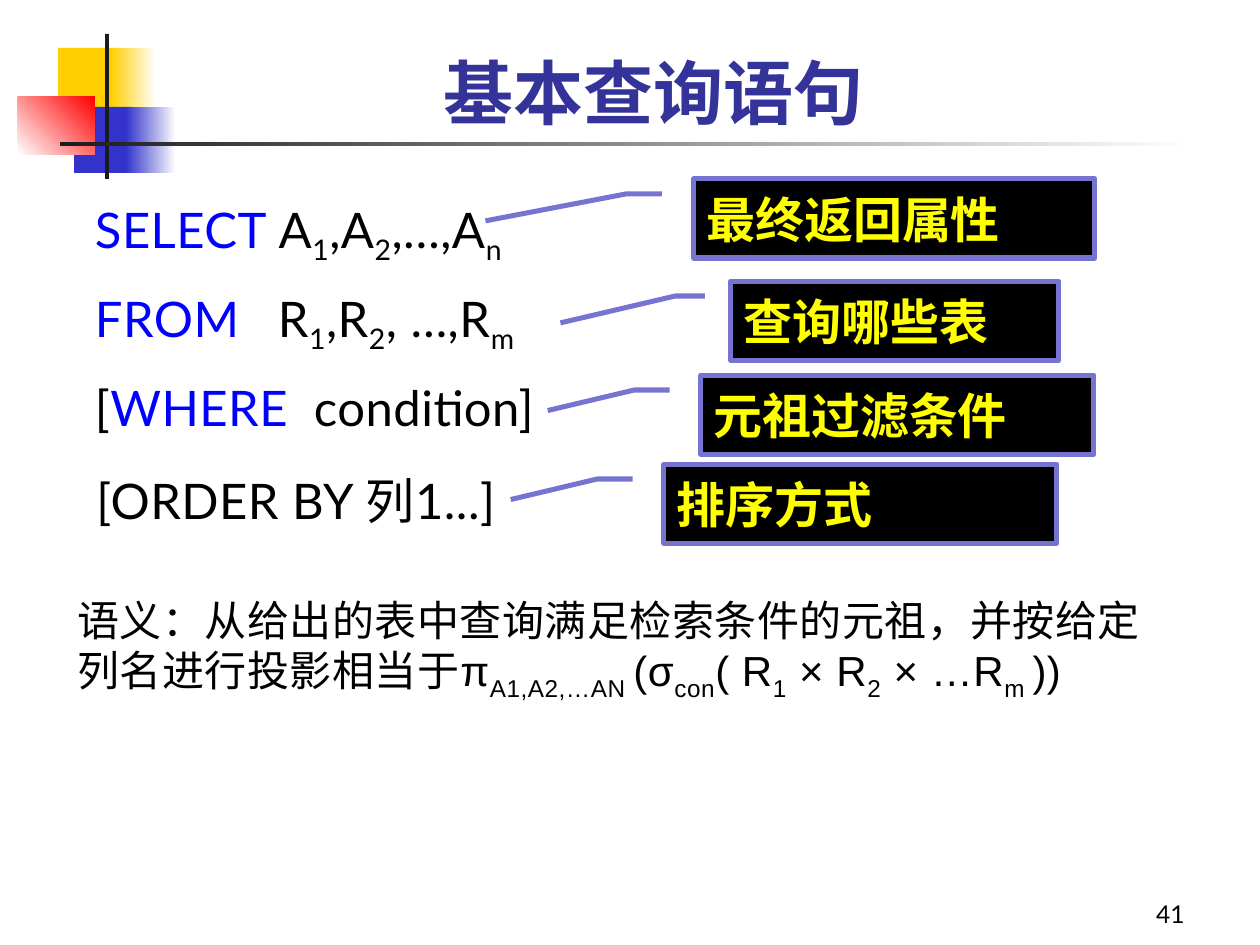
"""Build the slide on the basic SQL query statement."""
from lxml import etree
from pptx import Presentation
from pptx.dml.color import RGBColor
from pptx.enum.shapes import MSO_SHAPE
from pptx.enum.text import MSO_ANCHOR, PP_ALIGN
from pptx.oxml.ns import qn
from pptx.util import Pt

RECTANGLE, CALLOUT = MSO_SHAPE.RECTANGLE, MSO_SHAPE.LINE_CALLOUT_2
TOP, MIDDLE, BOTTOM = MSO_ANCHOR.TOP, MSO_ANCHOR.MIDDLE, MSO_ANCHOR.BOTTOM
LEFT, CENTER, RIGHT = PP_ALIGN.LEFT, PP_ALIGN.CENTER, PP_ALIGN.RIGHT
EMU_PER_PX = 914400 / 126
SLIDE_SIZE = (1260, 945)
CJK = "Noto Sans CJK SC"
BLACK, WHITE, GOLD, BLUE, RED, DARK = "000000", "FFFFFF", "FFCF01", "3333CC", "FF0000", "1C1C1C"
KEYWORD = "0000FF"
SUB = -25

DECORATION = [
    ((58, 48, 60, 66), [GOLD], 0),
    ((111, 48, 45, 66), [GOLD, WHITE], 0),
    ((74, 107, 58, 66), [BLUE], 0),
    ((126, 107, 50, 66), [BLUE, WHITE], 0),
    ((18, 97, 77, 58), [WHITE, RED], 45),
    ((105, 34, 4, 145), [DARK], 0),
    ((60, 142, 1134, 4), [DARK, WHITE], 0),
]

TITLE = ("基本查询语句", (164, 23, 979, 117))

HIGH_LEADER, LOW_LEADER = (0.53, -0.52), (0.45, -0.39)
CALLOUTS = [
    ("最终返回属性", (694, 179, 401, 79), HIGH_LEADER),
    ("查询哪些表", (731, 281, 328, 79), HIGH_LEADER),
    ("元祖过滤条件", (701, 375, 393, 79), LOW_LEADER),
    ("排序方式", (664, 464, 393, 79), LOW_LEADER),
]

CLAUSES = [
    [("SELECT", KEYWORD), " A", ("1", SUB), ",A", ("2", SUB), ",…,A", ("n", SUB)],
    [("FROM", KEYWORD), "\tR", ("1", SUB), ",R", ("2", SUB), ", …,R", ("m", SUB)],
    ["[", ("WHERE", KEYWORD), "\tcondition]"],
]
CLAUSE_TABS = [None, 183, 219]
ORDER_BY = ["[ORDER BY ", "列1...]"]
SEMANTICS = [
    "语义：从给出的表中查询满足检索条件的元祖，并按给定列名进行投影相当于π",
    ("A1,A2,…AN ", SUB), "(σ", ("con", SUB), "( R", ("1", SUB), " × R", ("2", SUB),
    " × …R", ("m ", SUB), "))",
]


def px(value):
    return round(value * EMU_PER_PX)


def color(value):
    return RGBColor.from_string(value)


def add_box(slide, kind, place):
    shape = slide.shapes.add_shape(kind, *map(px, place))
    shape.shadow.inherit = False
    return shape


def add_runs(paragraph, parts, ink=BLACK, name="Lato", size=28, bold=False, spacing=0):
    for part in parts:
        text, style = part if isinstance(part, tuple) else (part, None)
        run = paragraph.add_run()
        run.text = text
        run.font.color.rgb = color(style if isinstance(style, str) else ink)
        for key, value in {"name": name, "size": Pt(size), "bold": bold}.items():
            setattr(run.font, key, value)
        properties = run.font._element
        etree.SubElement(properties, qn("a:ea"), typeface=CJK)
        if spacing:
            properties.set("spc", str(spacing))
        if style == SUB:
            properties.set("baseline", str(SUB * 1000))


def set_tab(paragraph, position):
    tabs = etree.SubElement(paragraph._p.get_or_add_pPr(), qn("a:tabLst"))
    etree.SubElement(tabs, qn("a:tab"), pos=str(px(position)), algn="l")


def fill_text(shape, paragraphs, anchor=TOP, align=LEFT, tabs=(), **style):
    frame = shape.text_frame
    frame.word_wrap = True
    frame.vertical_anchor = anchor
    for index, parts in enumerate(paragraphs):
        paragraph = frame.add_paragraph() if index else frame.paragraphs[0]
        if tabs and tabs[index]:
            set_tab(paragraph, tabs[index])
        paragraph.alignment = align
        if len(paragraphs) > 1:
            paragraph.space_after = Pt(6)
        if index:
            paragraph.space_before = Pt(6.7)
        add_runs(paragraph, parts, **style)


def add_text(slide, place, paragraphs, **style):
    shape = slide.shapes.add_textbox(*map(px, place))
    fill_text(shape, paragraphs, **style)
    return shape


def add_decoration(slide):
    for place, colors, angle in DECORATION:
        shape = add_box(slide, RECTANGLE, place)
        shape.line.fill.background()
        if len(colors) == 1:
            shape.fill.solid()
            shape.fill.fore_color.rgb = color(colors[0])
            continue
        shape.fill.gradient()
        shape.fill.gradient_angle = angle
        for stop, value, position in zip(shape.fill.gradient_stops, colors, (0, 1)):
            stop.color.rgb = color(value)
            stop.position = position


def add_callout(slide, text, place, leader_end):
    shape = add_box(slide, CALLOUT, place)
    for index, value in enumerate((0.19, -0.08, 0.19, -0.17, *leader_end)):
        shape.adjustments[index] = value
    shape.fill.solid()
    shape.fill.fore_color.rgb = color(BLACK)
    shape.line.color.rgb = color("7575D1")
    shape.line.width = Pt(2.85)
    fill_text(shape, [[text]], anchor=MIDDLE, ink="FFFF00", name=CJK, bold=True)


def main():
    presentation = Presentation()
    presentation.slide_width, presentation.slide_height = map(px, SLIDE_SIZE)
    slide = presentation.slides.add_slide(presentation.slide_layouts[5])
    add_decoration(slide)

    text, place = TITLE
    title = slide.shapes.title
    for key, value in zip(("left", "top", "width", "height"), place):
        setattr(title, key, px(value))
    fill_text(title, [[text]], anchor=BOTTOM, align=CENTER,
              ink="333399", name=CJK, size=40, bold=True)

    for callout in CALLOUTS:
        add_callout(slide, *callout)
    add_text(slide, (65, 588, 1128, 115), [SEMANTICS], name="Arial", size=24, spacing=30)
    add_text(slide, (84, 464, 456, 72), [ORDER_BY], spacing=30)
    add_text(slide, (935, 872, 262, 63), [["41"]], anchor=BOTTOM, align=RIGHT, size=14)
    clauses = add_text(slide, (69, 193, 564, 335), CLAUSES, tabs=CLAUSE_TABS, spacing=30)
    clauses.text_frame.margin_left = px(26)
    presentation.save("out.pptx")


if __name__ == "__main__":
    main()
